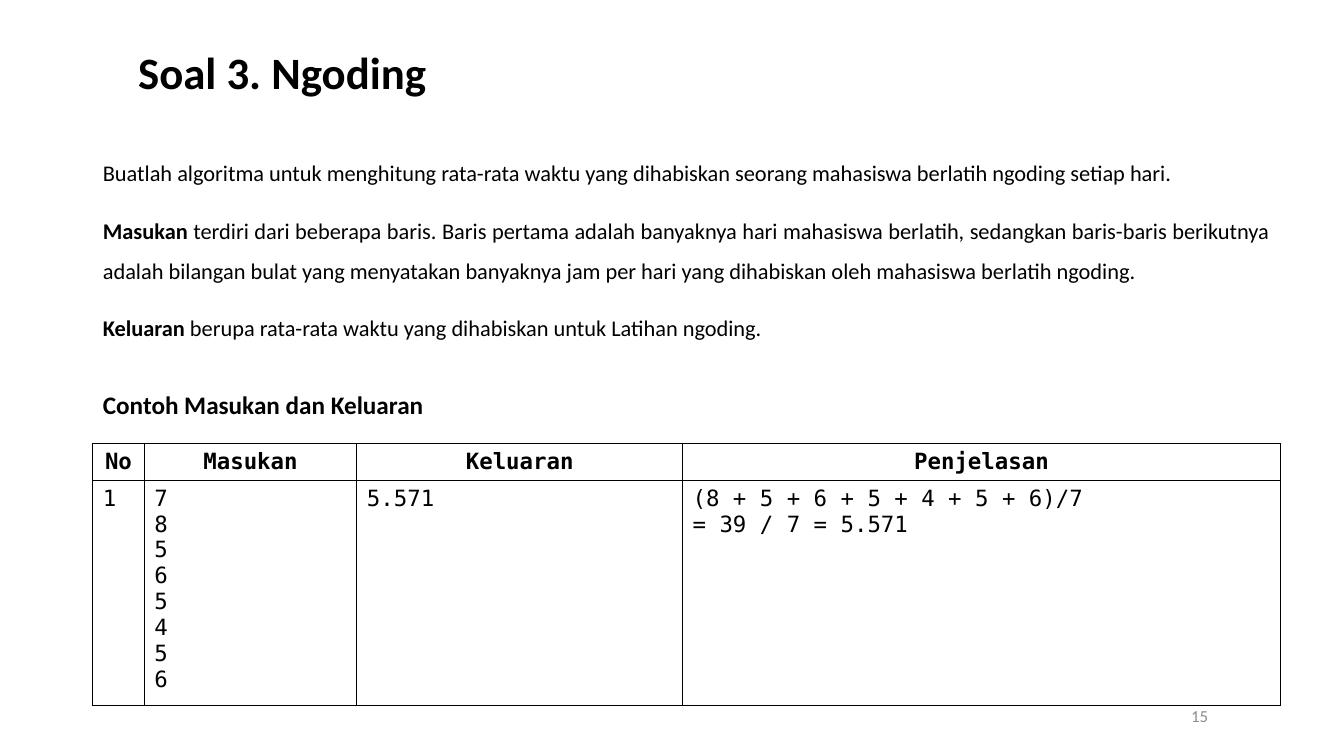
from lxml import etree
from pptx import Presentation
from pptx.dml.color import RGBColor
from pptx.enum import text
from pptx.oxml import ns
from pptx.util import Inches, Pt

BODY_FONT, CODE_FONT = "Calibri", "DejaVu Sans Mono"
BLACK, GREY = "000000", "8C8C8C"
LEFT, WIDTH = 0.92, 11.78
COLUMN_WIDTHS = [0.51, 2.11, 3.23, 5.93]
ROW_HEIGHTS = [0.36, 2.15]

QUESTION = [
    [("Buatlah algoritma untuk menghitung rata-rata waktu yang dihabiskan "
      "seorang mahasiswa berlatih ngoding setiap hari.", False)],
    [("Masukan ", True),
     ("terdiri dari beberapa baris. Baris pertama adalah banyaknya hari "
      "mahasiswa berlatih, sedangkan baris-baris berikutnya adalah bilangan "
      "bulat yang menyatakan banyaknya jam per hari yang dihabiskan oleh "
      "mahasiswa berlatih ngoding.", False)],
    [("Keluaran ", True),
     ("berupa rata-rata waktu yang dihabiskan untuk Latihan ngoding.", False)],
]
EXAMPLES = [
    ["No", "Masukan", "Keluaran", "Penjelasan"],
    ["1", "7\n8\n5\n6\n5\n4\n5\n6", "5.571",
     "(8 + 5 + 6 + 5 + 4 + 5 + 6)/7\n= 39 / 7 = 5.571"],
]


def rgb(color):
    return RGBColor.from_string(color)


def format_run(r, size, font=BODY_FONT, color=BLACK, bold=False):
    r.font.size = Pt(size)
    r.font.name = font
    r.font.bold = bold
    r.font.color.rgb = rgb(color)


def place(sp, left, top, width, height):
    sp.left, sp.top = Inches(left), Inches(top)
    sp.width, sp.height = Inches(width), Inches(height)


def remove_bullet(p):
    pPr = p._p.get_or_add_pPr()
    pPr.set("marL", "0")
    pPr.set("indent", "0")
    etree.SubElement(pPr, ns.qn("a:buNone"))


def set_title(sp, title):
    place(sp, 1.27, 0.4, 9.84, 0.68)
    tf = sp.text_frame
    tf.text = title
    tf.auto_size = text.MSO_AUTO_SIZE.NONE
    tf.vertical_anchor = text.MSO_ANCHOR.MIDDLE
    p = tf.paragraphs[0]
    p.alignment = text.PP_ALIGN.LEFT
    p.line_spacing = 0.9
    format_run(p.runs[0], 32, bold=True)


def set_body(sp, top, height, paragraphs, size):
    """Fill a body placeholder with paragraphs of (wording, bold) runs."""
    place(sp, LEFT, top, WIDTH, height)
    tf = sp.text_frame
    tf.auto_size = text.MSO_AUTO_SIZE.NONE
    for i, runs in enumerate(paragraphs):
        p = tf.add_paragraph() if i else tf.paragraphs[0]
        p.alignment = text.PP_ALIGN.JUSTIFY
        p.line_spacing = 1.5
        p.space_before = p.space_after = Pt(6)
        remove_bullet(p)
        for wording, bold in runs:
            r = p.add_run()
            r.text = wording
            format_run(r, size, bold=bold)


def add_page_number(slide, number):
    sp = slide.shapes.add_textbox(Inches(2.43), Inches(6.9),
                                  Inches(9.65), Inches(0.4))
    tf = sp.text_frame
    tf.word_wrap = True
    tf.vertical_anchor = text.MSO_ANCHOR.MIDDLE
    tf.text = number
    p = tf.paragraphs[0]
    p.alignment = text.PP_ALIGN.RIGHT
    format_run(p.runs[0], 12, color=GREY)


def add_borders(cell):
    tcPr = cell._tc.get_or_add_tcPr()
    for side in ("lnL", "lnR", "lnT", "lnB"):
        ln = etree.SubElement(tcPr, ns.qn(f"a:{side}"), w=str(Pt(1)))
        fill = etree.SubElement(ln, ns.qn("a:solidFill"))
        etree.SubElement(fill, ns.qn("a:srgbClr"), val=BLACK)


def add_examples(slide, rows):
    frame = slide.shapes.add_table(len(rows), len(rows[0]), Inches(LEFT),
                                   Inches(4.4), Inches(WIDTH),
                                   Inches(sum(ROW_HEIGHTS)))
    table = frame.table
    table.horz_banding = False
    for column, width in zip(table.columns, COLUMN_WIDTHS):
        column.width = Inches(width)
    for i, (row, height) in enumerate(zip(rows, ROW_HEIGHTS)):
        table.rows[i].height = Inches(height)
        header = i == 0
        for j, wording in enumerate(row):
            cell = table.cell(i, j)
            add_borders(cell)
            cell.fill.background()
            cell.text_frame.text = wording
            for p in cell.text_frame.paragraphs:
                p.alignment = (text.PP_ALIGN.CENTER if header
                               else text.PP_ALIGN.LEFT)
                format_run(p.runs[0], 16, CODE_FONT, bold=header)


def main():
    prs = Presentation()
    prs.slide_width, prs.slide_height = Inches(13.33), Inches(7.5)
    two_content = prs.slide_layouts[3]
    slide = prs.slides.add_slide(two_content)
    title, question, heading = slide.placeholders
    set_title(title, "Soal 3. Ngoding")
    set_body(question, 1.4, 2.26, QUESTION, 16)
    set_body(heading, 3.66, 0.52,
             [[("Contoh Masukan dan Keluaran", True)]], 18)
    add_page_number(slide, "15")
    add_examples(slide, EXAMPLES)
    prs.save("out.pptx")


if __name__ == "__main__":
    main()
